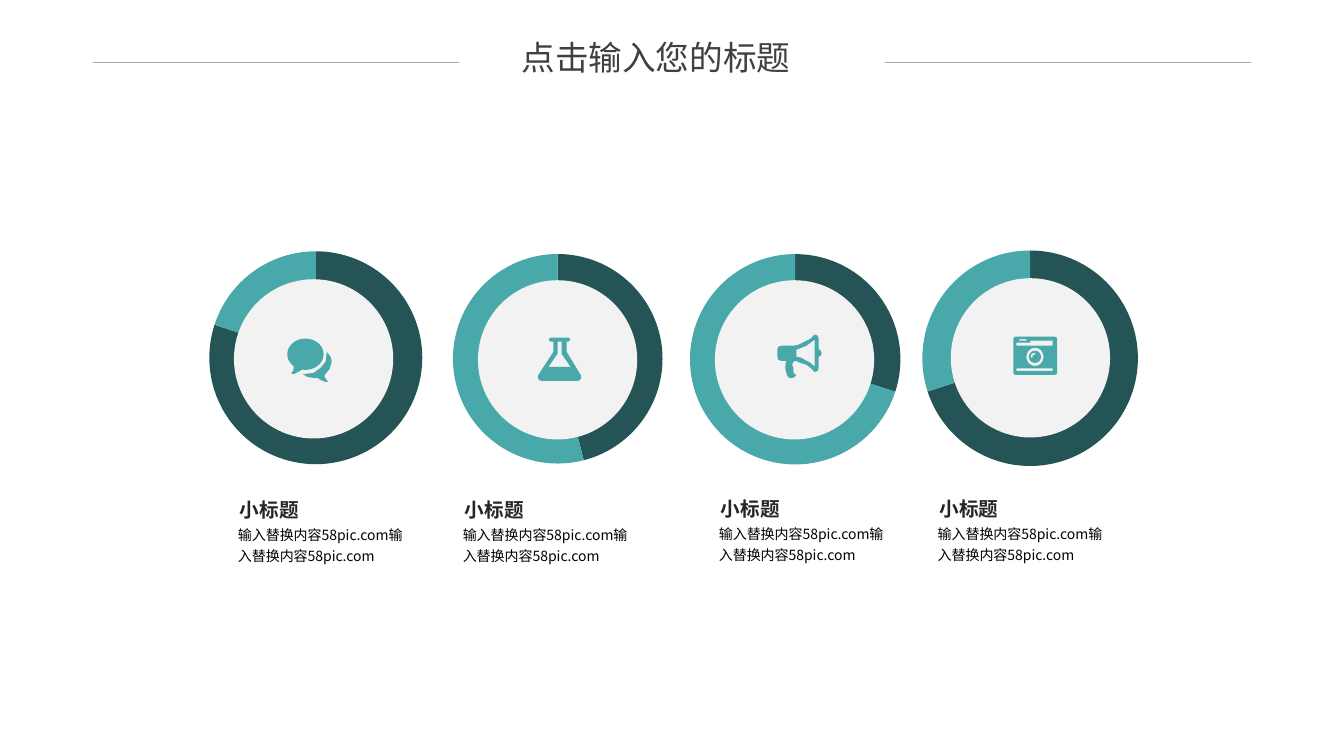
import math

from lxml import etree
from pptx import Presentation
from pptx.chart.data import CategoryChartData
from pptx.dml.color import RGBColor
from pptx.enum import chart as charts, shapes, text
from pptx.oxml import parse_xml
from pptx.oxml.ns import nsdecls, qn
from pptx.util import Inches, Pt

FONT = "Noto Sans CJK JP"
COLORS = {"dark": "245455", "teal": "48A8AA", "disc": "F1F2F1", "title": "404040",
          "heading": "262626", "body": "000000", "rule": "A6A6A6"}


def arc(cx, cy, rx, ry, start=0, end=360, step=10):
    return [(cx + rx * math.cos(math.radians(a)), cy + ry * math.sin(math.radians(a)))
            for a in range(start, end + 1, step)]


def box(left, top, right, bottom):
    return [(left, top), (right, top), (right, bottom), (left, bottom)]


# Icon contours, in hundredths of an inch from the icon's top left
BUBBLES = [
    arc(18, 15.5, 18, 15.5, 130, 460) + [(7, 35), (5, 35), (4, 34), (6, 32)],
    [(39, 13), (43, 18), (44, 23), (42, 30), (37, 36), (37, 38), (39, 41), (40, 42),
     (40, 43), (38, 43), (33, 41), (30, 39), (26, 39), (20, 38), (15, 35), (18, 35),
     (26, 34), (33, 29), (38, 23), (39, 15)],
]
FLASK = [
    [(43, 37), (43.5, 39), (43, 41), (42, 42), (40, 43), (4, 43), (2, 42), (1, 41),
     (0.5, 39), (1, 37), (16, 14), (16, 4), (13, 4), (11, 2), (13, 0), (31, 0),
     (33, 2), (31, 4), (29, 4), (29, 14)],
    [(11, 29), (33, 29), (24, 16), (24, 4), (20, 4), (20, 16)],
]
MEGAPHONE = [
    [(44, 18), (43, 21), (41, 22), (41, 33), (40, 36), (37, 37), (33, 33), (29, 30),
     (23, 28), (18, 26), (16, 27), (15, 29), (15, 31), (16, 33), (16, 37), (17, 39),
     (19, 40), (17, 42), (15, 43), (12, 43), (10, 41), (9, 38), (8, 34), (8, 30),
     (9, 26), (4, 26), (1, 25), (0, 22), (0, 15), (1, 12), (4, 11), (16, 11),
     (21, 10), (27, 7), (33, 4), (37, 0), (40, 1), (41, 4), (41, 14), (43, 16)],
    [(37, 5), (33, 8), (29, 11), (24, 13), (19, 15), (19, 22), (24, 23), (29, 26),
     (33, 28), (37, 32)],
]
CAMERA = [
    [(2, 0), (41, 0), (43, 1), (43.5, 2), (43.5, 35), (43, 37), (41, 38), (2, 38),
     (0.5, 37), (0, 35), (0, 2), (0.5, 1)],
    [(17, 4), (17, 6), (3, 6), (3, 9), (39, 9), (39, 4)],
    box(3, 31.5, 39, 34),
    box(6, 2.5, 13, 4),
    arc(21.5, 20, 8.5, 9),
    arc(21.5, 20, 6, 6),
    [(19, 20), (20, 18), (21, 18), (22, 17), (22, 16), (21, 16), (18, 17), (17, 20),
     (18, 21), (19, 21)],
]

# Content
TITLE = "点击输入您的标题"
HEADING = "小标题"
BODY = "输入替换内容58pic.com输入替换内容58pic.com"
# values, ring (left, top, size), disc (left, top), icon, icon (left, top), text (left, top)
ITEMS = [
    ((80, 20), (1.89, 2.31, 2.48), (2.32, 2.77), BUBBLES, (2.85, 3.36), (2.36, 4.94)),
    ((46, 54), (4.31, 2.34, 2.44), (4.74, 2.78), FLASK, (5.33, 3.35), (4.59, 4.94)),
    ((30, 70), (6.66, 2.34, 2.45), (7.09, 2.78), MEGAPHONE, (7.71, 3.32), (7.13, 4.93)),
    ((70, 30), (8.96, 2.3, 2.51), (9.43, 2.76), CAMERA, (10.05, 3.34), (9.3, 4.93)),
]
DISC_SIZE = 1.58
RULE_LEFTS, RULE_LENGTH, RULE_Y = (0.92, 8.78), 3.63, 0.62
PLOT = {"x": 0.075, "y": 0, "w": 0.852, "h": 1}

prs = Presentation()
prs.slide_width, prs.slide_height = Inches(13.33), Inches(7.5)
s = prs.slides.add_slide(prs.slide_layouts[5])


def rgb(name):
    return RGBColor.from_string(COLORS[name])


def paint(sp, name):
    sp.shadow.inherit = False
    sp.fill.solid()
    sp.fill.fore_color.rgb = rgb(name)
    sp.line.fill.background()


def write(sp, content, size, color, bold=False, wrap=True, align=text.PP_ALIGN.LEFT,
          anchor=text.MSO_ANCHOR.MIDDLE, spacing=1.0):
    tf = sp.text_frame
    tf.margin_left = tf.margin_top = tf.margin_right = tf.margin_bottom = 0
    tf.word_wrap, tf.vertical_anchor = wrap, anchor
    p = tf.paragraphs[0]
    p.alignment, p.line_spacing = align, spacing
    r = p.add_run()
    r.text = content
    r.font.size, r.font.bold, r.font.name = Pt(size), bold, FONT
    r.font.color.rgb = rgb(color)
    etree.SubElement(r.font._element, qn("a:ea")).set("typeface", FONT)


def add_ring(values, left, top, size):
    data = CategoryChartData()
    data.categories = ["1", "2"]
    data.add_series("Series 1", values)
    chart = s.shapes.add_chart(charts.XL_CHART_TYPE.PIE, Inches(left), Inches(top),
                               Inches(size), Inches(size), data).chart
    chart.has_legend = chart.has_title = False
    chart.font.name, chart.font.size = FONT, Pt(30)
    chart.font.color.rgb = rgb("body")
    for i, name in enumerate(("dark", "teal")):
        fmt = chart.plots[0].series[0].points[i].format
        fmt.fill.solid()
        fmt.fill.fore_color.rgb = rgb(name)
        fmt.line.fill.background()
    # Fixed inner plot area
    area = chart._chartSpace.chart.plotArea
    for old in area.findall(qn("c:layout")):
        area.remove(old)
    sizes = "".join(f'<c:{k} val="{v}"/>' for k, v in PLOT.items())
    area.insert(0, parse_xml(
        f'<c:layout {nsdecls("c")}><c:manualLayout><c:layoutTarget val="inner"/>'
        f'<c:xMode val="edge"/><c:yMode val="edge"/>{sizes}</c:manualLayout></c:layout>'))


def add_icon(contours, left, top):
    paths = [[(Inches(x / 100), Inches(y / 100)) for x, y in c] for c in contours]
    fb = s.shapes.build_freeform(*paths[0][0], scale=1.0)
    for i, path in enumerate(paths):
        if i:
            fb.move_to(*path[0])
        fb.add_line_segments(path[1:], close=True)
    paint(fb.convert_to_shape(Inches(left), Inches(top)), "teal")


# Title between two rules
title = s.shapes.title
title.left, title.top, title.width, title.height = map(Inches, (4.46, 0.37, 4.09, 0.4))
write(title, TITLE, 24, "title", align=text.PP_ALIGN.CENTER)
for left in RULE_LEFTS:
    rule = s.shapes.add_connector(shapes.MSO_CONNECTOR.STRAIGHT, Inches(left), Inches(RULE_Y),
                                  Inches(left + RULE_LENGTH), Inches(RULE_Y))
    rule.line.color.rgb, rule.line.width = rgb("rule"), Pt(0.5)
    etree.SubElement(rule._element.spPr, qn("a:effectLst"))

# Rings with disc, icon and caption
for values, ring, disc_at, icon, icon_at, (x, y) in ITEMS:
    add_ring(values, *ring)
    disc = s.shapes.add_shape(shapes.MSO_SHAPE.OVAL, *map(Inches, (*disc_at, DISC_SIZE, DISC_SIZE)))
    paint(disc, "disc")
    add_icon(icon, *icon_at)
    body = s.shapes.add_textbox(*map(Inches, (x, y + 0.09, 1.72, 0.73)))
    write(body, BODY, 10, "body", spacing=1.2)
    heading = s.shapes.add_textbox(*map(Inches, (x + 0.02, y, 0.74, 0.45)))
    write(heading, HEADING, 14, "heading", bold=True, wrap=False, anchor=text.MSO_ANCHOR.TOP)

prs.save("out.pptx")
